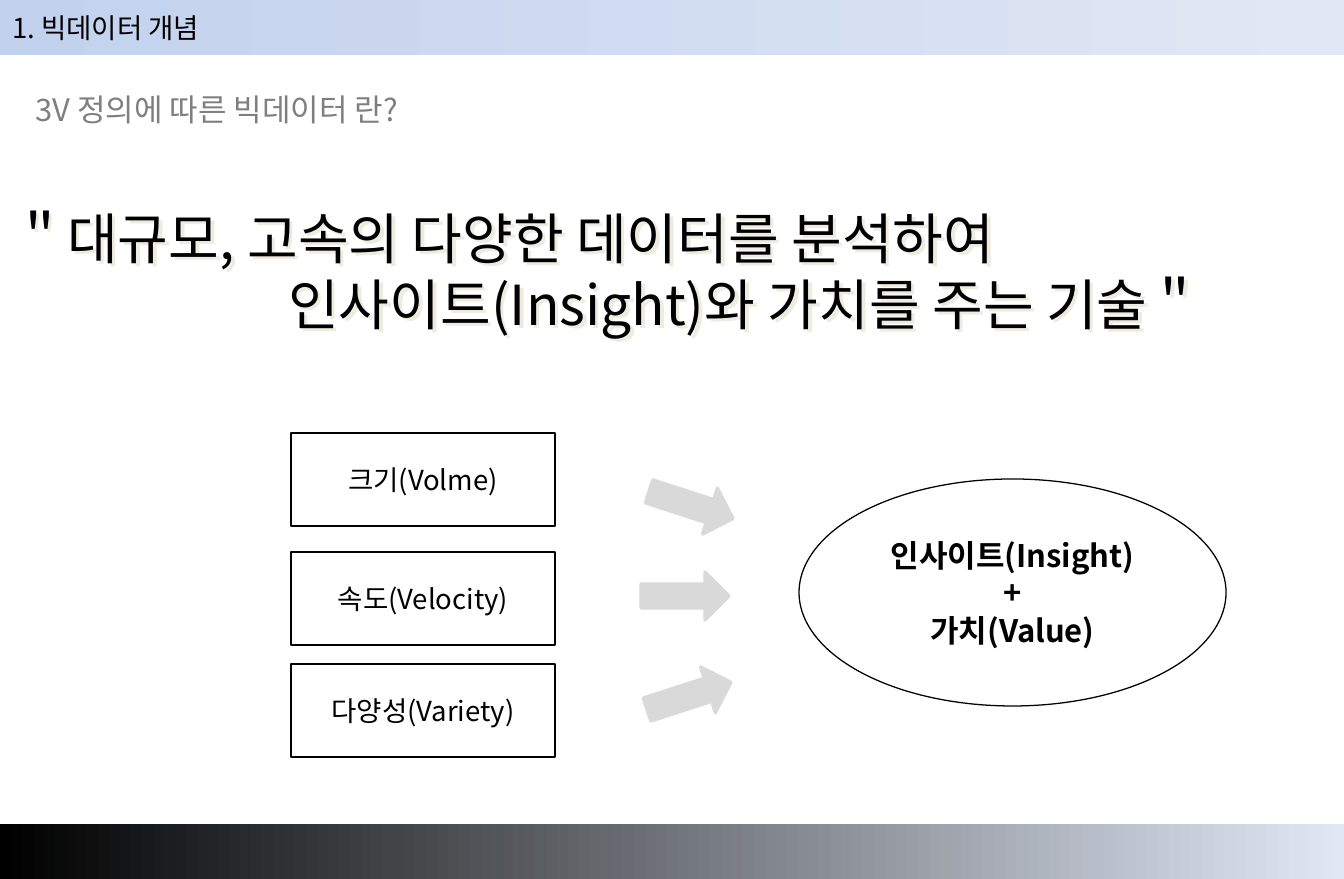
from lxml.etree import SubElement
from pptx import Presentation
from pptx.dml.color import RGBColor
from pptx.enum.shapes import MSO_SHAPE as Preset
from pptx.enum.text import MSO_ANCHOR as Anchor, PP_ALIGN as Align
from pptx.oxml.ns import qn
from pptx.util import Pt

EMU_PER_PX = 914400 / 124
FONT = "Noto Sans CJK KR"
BLACK, GREY, ARROW_GREY = "000000", "7F7F7F", "D9D9D9"
BAND_END, SHADOW = "E1E8F5", "EEECE1"


def px(length):
    return round(length * EMU_PER_PX)


def color(value):
    return RGBColor.from_string(value)


class SlideBuilder:
    """Holds the text style and the current slide, and adds elements to it."""

    def __init__(self, page, font):
        self.page = page
        self.font = font

    def set_text(self, shape, lines, size, ink=BLACK, bold=False, align=Align.LEFT):
        frame = shape.text_frame
        frame.text = "\n".join(lines)
        for para in frame.paragraphs:
            para.alignment = align
            for span in para.runs:
                span.font.name = self.font
                span.font.size = Pt(size)
                span.font.bold = bold
                span.font.color.rgb = color(ink)
                SubElement(span._r.get_or_add_rPr(), qn("a:ea"), typeface=self.font)

    def text(self, x, y, width, height, lines, size, ink=BLACK):
        box = self.page.shapes.add_textbox(px(x), px(y), px(width), px(height))
        box.text_frame.word_wrap = True
        self.set_text(box, lines, size, ink)
        return box

    def shape(self, preset, x, y, width, height):
        item = self.page.shapes.add_shape(preset, px(x), px(y), px(width), px(height))
        item.shadow.inherit = False
        return item

    def band(self, y, start, end):
        item = self.shape(Preset.RECTANGLE, 0, y, 1344, 55)
        item.line.fill.background()
        item.fill.gradient()
        item.fill.gradient_angle = 0
        for stop, value in zip(item.fill.gradient_stops, (start, end)):
            stop.color.rgb = color(value)

    def outline(self, preset, x, y, width, height, lines, size, bold=False):
        item = self.shape(preset, x, y, width, height)
        item.fill.background()
        item.line.color.rgb = color(BLACK)
        item.line.width = Pt(0.75)
        item.text_frame.vertical_anchor = Anchor.MIDDLE
        self.set_text(item, lines, size, bold=bold, align=Align.CENTER)

    def arrow(self, x, y, angle):
        item = self.shape(Preset.RIGHT_ARROW, x, y, 88, 48)
        item.rotation = angle
        item.fill.solid()
        item.fill.fore_color.rgb = color(ARROW_GREY)
        item.line.color.rgb = color(ARROW_GREY)
        item.line.width = Pt(2)

    def cast_shadow(self, box):
        box.shadow.inherit = False
        effects = box.element.spPr.find(qn("a:effectLst"))
        shadow = SubElement(effects, qn("a:outerShdw"), dist=str(px(5)),
                            dir="2700000", algn="ctr", rotWithShape="0")
        SubElement(shadow, qn("a:srgbClr"), val=SHADOW)


def main():
    deck = Presentation()
    deck.slide_width, deck.slide_height = px(1344), px(879)
    page = deck.slides.add_slide(deck.slide_layouts[6])
    builder = SlideBuilder(page, FONT)

    builder.band(0, "C2D1ED", BAND_END)
    builder.band(824, BLACK, BAND_END)
    builder.text(0, 5, 1342, 46, ["1. 빅데이터 개념"], 16)
    builder.text(23, 84, 446, 50, ["3V 정의에 따른 빅데이터 란?"], 18, GREY)

    definition = builder.text(0, 198, 1336, 172, [
        "＂대규모, 고속의 다양한 데이터를 분석하여",
        "인사이트(Insight)와 가치를 주는 기술＂",
    ], 32)
    second_line = definition.text_frame.paragraphs[1]
    second_line._p.get_or_add_pPr().set("marL", str(px(276)))
    builder.cast_shadow(definition)

    for y, label in ((433, "크기(Volme)"), (552, "속도(Velocity)"), (664, "다양성(Variety)")):
        builder.outline(Preset.RECTANGLE, 291, y, 264, 93, [label], 16)

    for x, y, angle in ((647, 481, 18), (641, 572, 0), (645, 672, -18)):
        builder.arrow(x, y, angle)

    builder.outline(Preset.OVAL, 799, 479, 427, 227,
                    ["인사이트(Insight)", "+", "가치(Value)"], 18, bold=True)
    deck.save("out.pptx")


if __name__ == "__main__":
    main()
